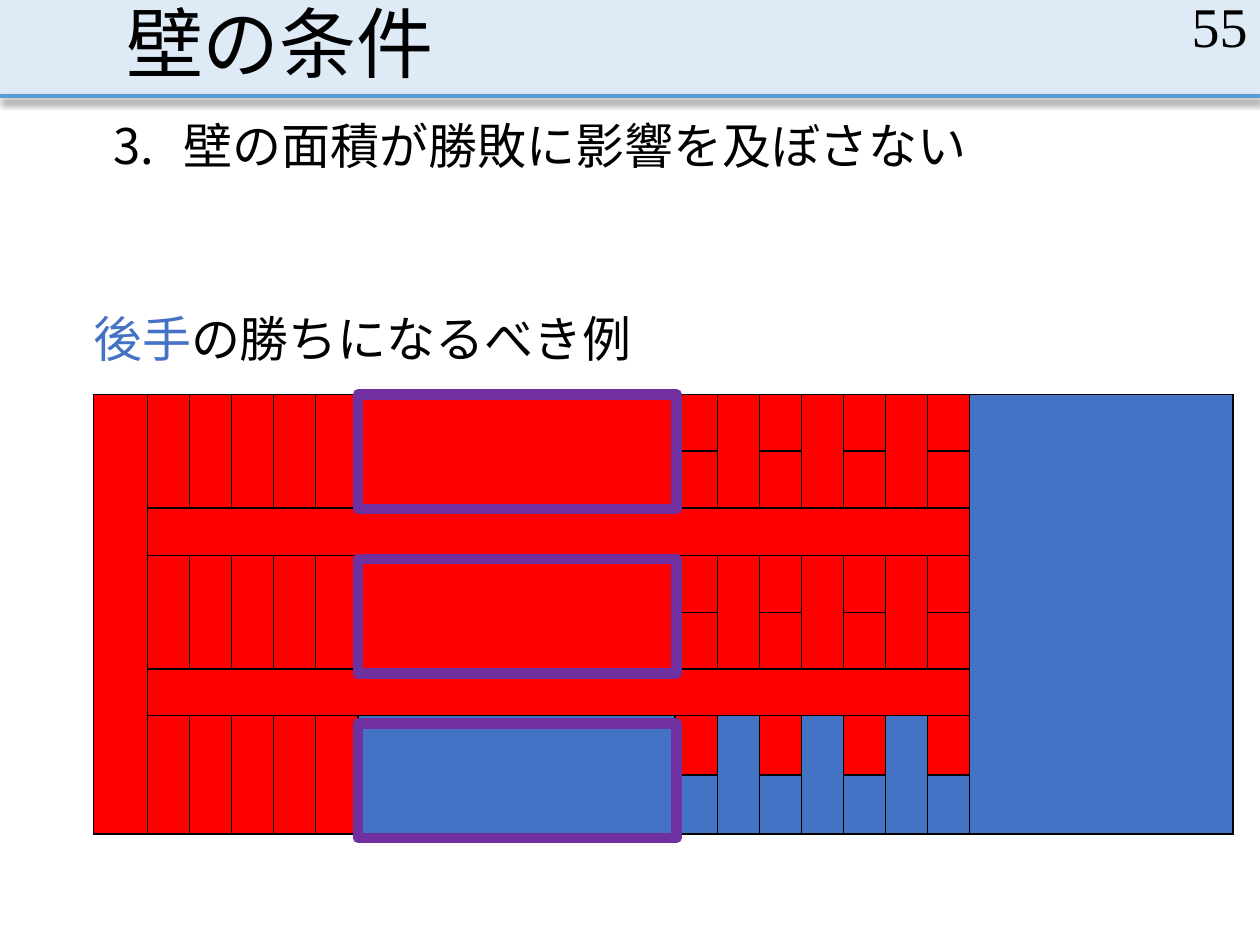
import lxml.etree
import pptx
import pptx.dml.color
import pptx.enum.shapes
import pptx.enum.text
import pptx.oxml
import pptx.oxml.ns
import pptx.util

Inches = pptx.util.Inches
Pt = pptx.util.Pt
ANCHOR = pptx.enum.text.MSO_ANCHOR
ALIGN = pptx.enum.text.PP_ALIGN
SHAPE = pptx.enum.shapes.MSO_SHAPE

COLORS = {
    "band": "DEEBF7",
    "rule": "5B9BD5",
    "text": "000000",
    "first": "FF0000",
    "second": "4472C4",
    "frame": "7030A0",
}
FONT = "Times New Roman"
OWNERS = {"R": "first", "B": "second"}
BOARD = ["R" * 14 + "B"] * 6 + ["RRRRRRBRBRBRBRB", "RRRRRRBBBBBBBBB"]
ROW_HEIGHTS = [0.45, 0.45, 0.38, 0.45, 0.45, 0.37, 0.47, 0.47]
FIRST_WIDTH, WALL_WIDTH, LAST_WIDTH = 0.43, 2.52, 2.09
WALL_COLUMN = 6
LANE_ROWS = (0, 3, 6)
BAR_ROWS = (2, 5)


def rgb(name):
    """Return a palette colour."""
    return pptx.dml.color.RGBColor.from_string(COLORS[name])


def add_element(parent, tag, **attributes):
    """Append a drawing element to a parent."""
    element = lxml.etree.SubElement(parent, pptx.oxml.ns.qn(tag))
    for key, value in attributes.items():
        element.set(key, str(value))
    return element


def place(shape, box):
    """Move a shape to a box in inches."""
    for key, value in zip(("left", "top", "width", "height"), box):
        setattr(shape, key, Inches(value))


def write(shape, spans, size, frame_format, para_format):
    """Fill a shape with one paragraph of coloured spans."""
    frame = shape.text_frame
    for key, value in {"word_wrap": True, **frame_format}.items():
        setattr(frame, key, value)
    para = frame.paragraphs[0]
    for key, value in para_format.items():
        setattr(para, key, value)
    for text, color in spans:
        span = para.add_run()
        span.text = text
        for key, value in {"name": FONT, "size": Pt(size)}.items():
            setattr(span.font, key, value)
        span.font.color.rgb = rgb(color)
    return para


def add_text(page, box, spans, size, frame_format, para_format):
    """Add a text box and return its paragraph."""
    shape = page.shapes.add_textbox(*map(Inches, box))
    return write(shape, spans, size, frame_format, para_format)


def add_header(page, box):
    """Draw the title band, its shadowed rule, title and page number."""
    left, top, width, height = box
    band = page.shapes.add_shape(SHAPE.RECTANGLE, *map(Inches, box))
    band.shadow.inherit = False
    band.fill.solid()
    band.fill.fore_color.rgb = rgb("band")
    band.line.fill.background()

    ends = (left, top + height, left + width, top + height)
    rule = page.shapes.add_connector(
        pptx.enum.shapes.MSO_CONNECTOR.STRAIGHT, *map(Inches, ends))
    rule.line.color.rgb = rgb("rule")
    rule.line.width = Pt(2.25)
    effects = add_element(rule._element.spPr, "a:effectLst")
    shadow = add_element(effects, "a:outerShdw", blurRad=Pt(4), dist=Pt(2.5),
                         dir=5400000, algn="t", rotWithShape=0)
    color = add_element(shadow, "a:srgbClr", val=COLORS["text"])
    add_element(color, "a:alpha", val=47000)

    title = page.shapes.title
    place(title, (left + 0.9, top, 8.25, height))
    page.shapes._spTree.append(title._element)
    write(title, [("壁の条件", "text")], 44,
          {"vertical_anchor": ANCHOR.BOTTOM,
           "auto_size": pptx.enum.text.MSO_AUTO_SIZE.NONE},
          {"alignment": ALIGN.LEFT, "line_spacing": 0.9})
    add_text(page, (left + width - 2.25, top, 2.25, 0.4), [("55", "text")], 32,
             {"vertical_anchor": ANCHOR.MIDDLE}, {"alignment": ALIGN.RIGHT})


def add_statements(page, condition_box, caption_box):
    """Write the numbered condition and the caption of the example."""
    frame_format = {"margin_left": 0, "margin_right": 0}
    para_format = {"line_spacing": 0.9}
    para = add_text(page, condition_box,
                    [("壁の面積が勝敗に影響を及ぼさない", "text")], 28,
                    frame_format, para_format)
    properties = para._p.get_or_add_pPr()
    properties.set("marL", str(Inches(0.56)))
    properties.set("indent", str(-Inches(0.56)))
    add_element(properties, "a:buAutoNum", type="arabicPeriod", startAt=3)
    add_text(page, caption_box,
             [("後手", "second"), ("の勝ちになるべき例", "text")], 28,
             frame_format, para_format)


def format_cell(cell, owner):
    """Give a cell thin black borders, its owner's fill and no margins."""
    for key in ("margin_left", "margin_right", "margin_top", "margin_bottom"):
        setattr(cell, key, 0)
    cell.text_frame.paragraphs[0].font.size = Pt(10)
    properties = cell._tc.get_or_add_tcPr()
    for side in "LRTB":
        border = add_element(properties, f"a:ln{side}", w=Pt(1))
        fill = add_element(border, "a:solidFill")
        add_element(fill, "a:srgbClr", val=COLORS["text"])
    cell.fill.solid()
    cell.fill.fore_color.rgb = rgb(owner)


def merge_board(table):
    """Join the cells of the side columns, bars and lanes."""
    last_row, last_column = len(BOARD) - 1, len(BOARD[0]) - 1
    for column in (0, last_column):
        table.cell(0, column).merge(table.cell(last_row, column))
    for row in BAR_ROWS:
        table.cell(row, 1).merge(table.cell(row, last_column - 1))
    for row in LANE_ROWS:
        for column in (*range(1, WALL_COLUMN + 1), 8, 10, 12):
            table.cell(row, column).merge(table.cell(row + 1, column))


def add_board(page, box):
    """Draw the game board as a table."""
    shape = page.shapes.add_table(len(BOARD), len(BOARD[0]), *map(Inches, box))
    table = shape.table
    table.first_row = table.horz_banding = False
    narrow = (box[2] - FIRST_WIDTH - WALL_WIDTH - LAST_WIDTH) / 12
    widths = [FIRST_WIDTH, *[narrow] * 5, WALL_WIDTH, *[narrow] * 7, LAST_WIDTH]
    for column, width in zip(table.columns, widths):
        column.width = Inches(width)
    for row, height in zip(table.rows, ROW_HEIGHTS):
        row.height = Inches(height)
    for row, owners in enumerate(BOARD):
        for column, owner in enumerate(owners):
            format_cell(table.cell(row, column), OWNERS[owner])
    merge_board(table)


def add_wall_frames(page, box, pitch):
    """Outline the three walls, spaced evenly from the first box."""
    left, top, width, height = box
    for index in range(len(LANE_ROWS)):
        place_box = (left, top + index * pitch, width, height)
        wall = page.shapes.add_shape(SHAPE.RECTANGLE, *map(Inches, place_box))
        wall.shadow.inherit = False
        wall.fill.background()
        wall.line.color.rgb = rgb("frame")
        wall.line.width = Pt(6)


def main():
    """Build and save the slide."""
    deck = pptx.Presentation()
    deck.slide_width, deck.slide_height = Inches(10), Inches(7.5)
    page = deck.slides.add_slide(deck.slide_layouts.get_by_name("Title Only"))
    add_header(page, (0, 0, 10, 0.76))
    add_statements(page, (0.9, 0.92, 8.25, 1.61), (0.74, 2.45, 4.3, 0.48))
    add_board(page, (0.74, 3.13, 9.05, sum(ROW_HEIGHTS)))
    add_wall_frames(page, (2.84, 3.13, 2.53, 0.91), 1.305)
    deck.save("out.pptx")


if __name__ == "__main__":
    main()
